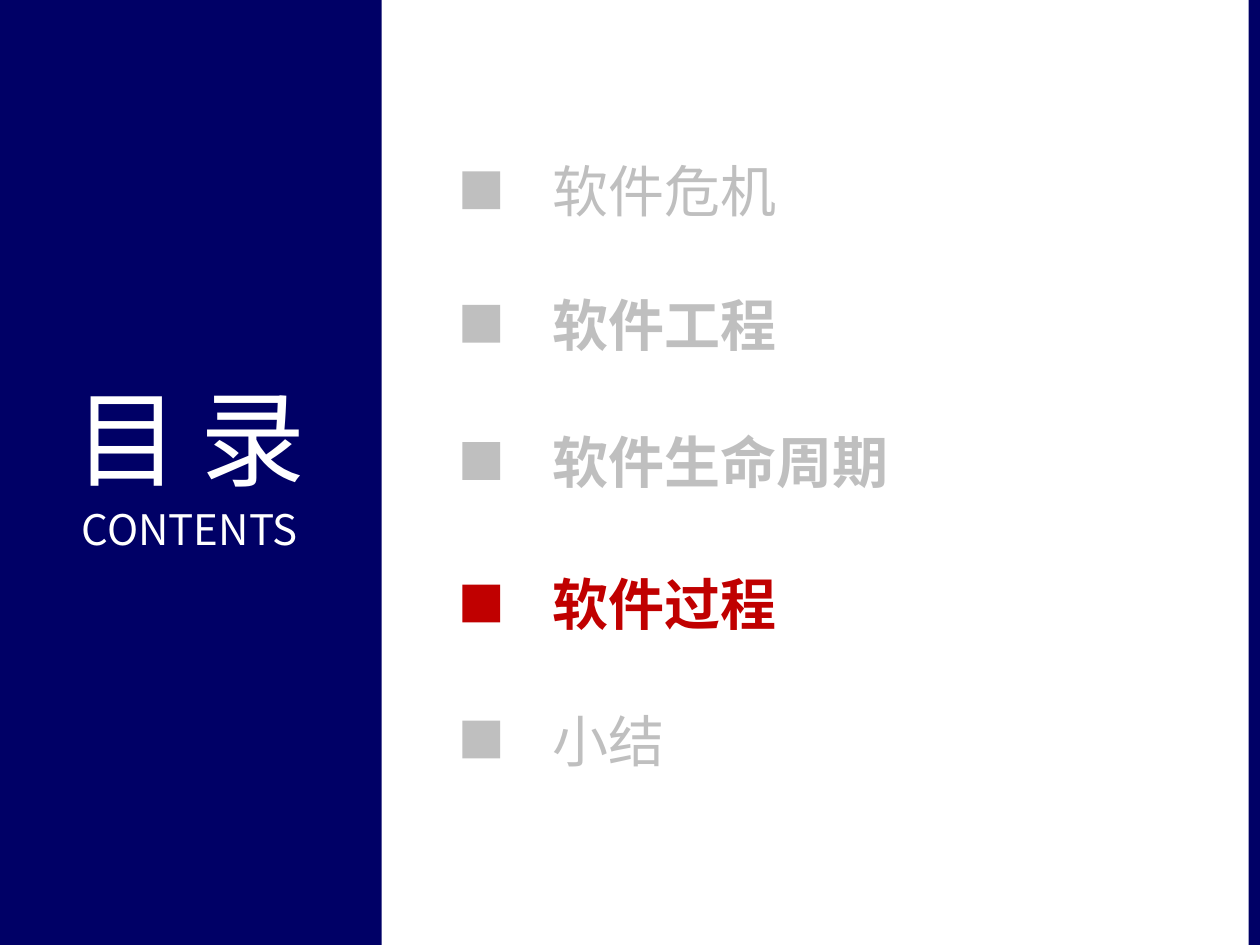
import pptx
import pptx.dml.color
import pptx.enum.shapes
import pptx.enum.text
import pptx.oxml
import pptx.oxml.ns
import pptx.util
from pptx.util import Inches

# (text, bold, current section, marker top in inches)
TOPICS = [
    ("软件危机", False, False, 1.36),
    ("软件工程", True, False, 2.42),
    ("软件生命周期", True, False, 3.51),
    ("软件过程", True, True, 4.64),
    ("小结", False, False, 5.72),
]
THEME = {
    "font": "Noto Sans CJK SC",
    "navy": "000066", "white": "FFFFFF", "muted": "BFBFBF", "current": "C00000",
    "heading": 60, "subheading": 24, "topic": 32,
}
HEADING = [("目录", "heading", 12), ("CONTENTS", "subheading", 0)]
PANEL = (-0.02, 0, 3.05, 7.5)
EDGE = (9.91, 0, 0.09, 7.5)
HEADING_BOX = (-0.02, 2.89, 3.05, 1.72)
MARKER_LEFT, MARKER_SIZE = 3.67, 0.3
TOPIC_LEFT, TOPIC_WIDTH, TOPIC_HEIGHT = 4.29, 4.84, 0.64


def add_block(s, box, color):
    sp = s.shapes.add_shape(pptx.enum.shapes.MSO_SHAPE.RECTANGLE, *map(Inches, box))
    sp.shadow.inherit = False
    sp.fill.solid()
    sp.fill.fore_color.rgb = pptx.dml.color.RGBColor.from_string(THEME[color])
    sp.line.fill.background()
    return sp


def style_frame(tf):
    tf.word_wrap = True
    tf.auto_size = pptx.enum.text.MSO_AUTO_SIZE.NONE
    tf.vertical_anchor = pptx.enum.text.MSO_ANCHOR.MIDDLE


def style_paragraph(p, size, color, bold=False, spacing=0):
    """Set Latin and East Asian type; spacing is between letters, in points."""
    p.font.name = THEME["font"]
    p.font.size = pptx.util.Pt(THEME[size])
    p.font.bold = bold
    p.font.color.rgb = pptx.dml.color.RGBColor.from_string(THEME[color])
    props = p._p.get_or_add_pPr().find(pptx.oxml.ns.qn("a:defRPr"))
    props.set("spc", str(spacing * 100))
    east_asian = pptx.oxml.parse_xml(
        f'<a:ea {pptx.oxml.ns.nsdecls("a")} typeface="{THEME["font"]}"/>')
    props.find(pptx.oxml.ns.qn("a:latin")).addnext(east_asian)


def add_heading(s):
    title = s.shapes.title
    title.left, title.top, title.width, title.height = map(Inches, HEADING_BOX)
    tf = title.text_frame
    style_frame(tf)
    tf.margin_bottom = Inches(0.19)
    tf.text = "\n".join(text for text, _, _ in HEADING)
    for p, (_, size, spacing) in zip(tf.paragraphs, HEADING):
        p.alignment = pptx.enum.text.PP_ALIGN.CENTER
        style_paragraph(p, size, "white", spacing=spacing)
    tf.paragraphs[1].space_before = pptx.util.Pt(2)
    return title


def add_topic(s, text, bold, current, top):
    color = "current" if current else "muted"
    add_block(s, (MARKER_LEFT, top, MARKER_SIZE, MARKER_SIZE), color)
    text_top = top + (MARKER_SIZE - TOPIC_HEIGHT) / 2
    sp = s.shapes.add_textbox(
        *map(Inches, (TOPIC_LEFT, text_top, TOPIC_WIDTH, TOPIC_HEIGHT)))
    style_frame(sp.text_frame)
    p = sp.text_frame.paragraphs[0]
    p.text = text
    style_paragraph(p, "topic", color, bold)


def main():
    prs = pptx.Presentation()
    prs.slide_width, prs.slide_height = Inches(10), Inches(7.5)
    s = prs.slides.add_slide(prs.slide_layouts[5])
    panel = add_block(s, PANEL, "navy")
    add_heading(s).element.addprevious(panel.element)  # panel goes behind
    add_block(s, EDGE, "navy")
    for topic in TOPICS:
        add_topic(s, *topic)
    prs.save("out.pptx")


if __name__ == "__main__":
    main()
